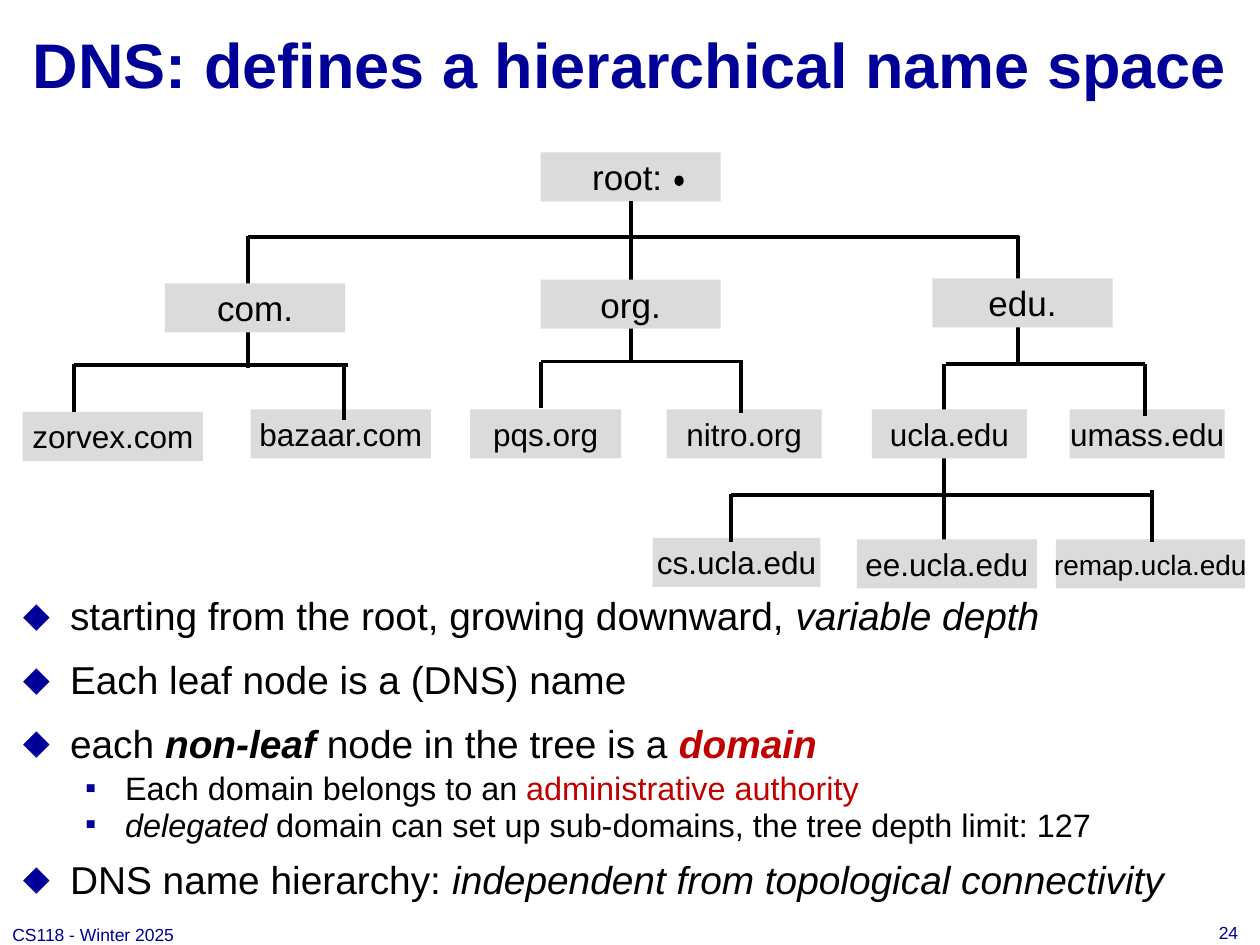
import pptx
import pptx.util
import pptx.dml.color
import pptx.enum.shapes
import pptx.enum.text
import pptx.oxml
import pptx.oxml.ns
import lxml.etree

Pt = pptx.util.Pt
ALIGN = pptx.enum.text.PP_ALIGN
SHAPE = pptx.enum.shapes.MSO_SHAPE
COLORS = {"navy": "000099", "black": "000000", "red": "C00000", "node": "DBDBDB"}
BOX = {"word_wrap": True, "auto_size": pptx.enum.text.MSO_AUTO_SIZE.NONE,
       "vertical_anchor": pptx.enum.text.MSO_ANCHOR.MIDDLE}


def rgb(name):
    return pptx.dml.color.RGBColor.from_string(COLORS[name])


def add_run(paragraph, text, size, color="black", **styles):
    run = paragraph.add_run()
    run.text = text
    run.font.color.rgb = rgb(color)
    for key, value in {"name": "Arial", "size": Pt(size), **styles}.items():
        setattr(run.font, key, value)


presentation = pptx.Presentation()
presentation.slide_width, presentation.slide_height = Pt(720), Pt(540)
slide = presentation.slides.add_slide(presentation.slide_layouts[1])
title, body = slide.placeholders[0], slide.placeholders[1]

# Title
title.left, title.top, title.width, title.height = Pt(0), Pt(0), Pt(720), Pt(72)
for key, value in BOX.items():
    setattr(title.text_frame, key, value)
title.text_frame.paragraphs[0].alignment = ALIGN.CENTER
add_run(title.text_frame.paragraphs[0], "DNS: defines a hierarchical name space",
        36, "navy", bold=True)

# Bullet list: level and runs of (text, styles)
bullets = [
    (0, [("starting from the root, growing downward, ", {}),
         ("variable depth", {"italic": True})]),
    (0, [("Each leaf node is a (DNS) name", {})]),
    (0, [("each ", {}), ("non-leaf", {"bold": True, "italic": True}),
         (" node in the tree is a ", {}),
         ("domain", {"color": "red", "bold": True, "italic": True})]),
    (1, [("Each domain belongs to an ", {}),
         ("administrative authority", {"color": "red"})]),
    (1, [("delegated", {"italic": True}),
         (" domain can set up sub-domains, the tree depth limit: 127", {})]),
    (0, [("DNS name hierarchy: ", {}),
         ("independent from topological connectivity", {"italic": True})]),
]
levels = [
    {"size": 22.2, "before": 12, "after": 3, "left": 27, "hang": 27, "mark": "⬥", "scale": 100},
    {"size": 18.5, "before": 3, "after": 0, "left": 58.5, "hang": 22.5, "mark": "■", "scale": 50},
]
body.left, body.top, body.width, body.height = Pt(13), Pt(343.5), Pt(702), Pt(181.5)
body_format = {"margin_left": 0, "margin_top": 0, "margin_right": 0, "margin_bottom": 0,
               **BOX, "vertical_anchor": pptx.enum.text.MSO_ANCHOR.TOP}
for key, value in body_format.items():
    setattr(body.text_frame, key, value)
for index, (level, runs) in enumerate(bullets):
    paragraph = body.text_frame.add_paragraph() if index else body.text_frame.paragraphs[0]
    style = levels[level]
    paragraph_format = {"level": level, "line_spacing": 0.8,
                        "space_before": Pt(style["before"]), "space_after": Pt(style["after"])}
    for key, value in paragraph_format.items():
        setattr(paragraph, key, value)
    properties = paragraph._p.get_or_add_pPr()
    properties.set("marL", str(Pt(style["left"])))
    properties.set("indent", str(-Pt(style["hang"])))
    bullet_color = lxml.etree.SubElement(properties, pptx.oxml.ns.qn("a:buClr"))
    lxml.etree.SubElement(bullet_color, pptx.oxml.ns.qn("a:srgbClr"), val=COLORS["navy"])
    lxml.etree.SubElement(properties, pptx.oxml.ns.qn("a:buSzPct"), val=str(style["scale"] * 1000))
    lxml.etree.SubElement(properties, pptx.oxml.ns.qn("a:buChar"), char=style["mark"])
    for text, styles in runs:
        add_run(paragraph, text, style["size"], **styles)

# Name tree, back to front: lines (x1, y1, x2, y2) and nodes (text, left, top, width, size)
tree = [
    (539.3, 208, 539.3, 310.3),
    (141.8, 134.6, 141.8, 210.2),
    (581.8, 134.6, 581.8, 208),
    ("root:", 308.9, 87.1, 103, 20),
    ("zorvex.com", 13, 235.4, 103, 18),
    ("edu.", 532.8, 159.1, 103, 20),
    ("com.", 94.3, 162, 103, 20),
    (141.8, 135.4, 582.5, 135.4),
    ("bazaar.com", 143.3, 234, 103, 18),
    ("pqs.org", 268.6, 234, 86.4, 18),
    ("nitro.org", 380.9, 234, 88.6, 18),
    ("ucla.edu", 498.2, 234, 88.6, 18),
    ("umass.edu", 611.3, 234, 88.6, 18),
    ("cs.ucla.edu", 373, 307.4, 95.8, 18),
    ("ee.ucla.edu", 489.6, 308.2, 103, 18),
    ("remap.ucla.edu", 603.4, 308.2, 108, 16),
    (360.4, 115.1, 360.4, 206.6),
    (42.5, 208, 42.5, 235.4),
    (196.6, 209.5, 196.6, 239.8),
    (42.5, 208.8, 198.7, 208.8),
    (308.9, 206.6, 308.9, 233.3),
    (423.4, 205.9, 423.4, 236.2),
    (308.9, 206.6, 422.6, 206.6),
    (654.5, 208, 654.5, 237.6),
    (540.7, 208, 654.5, 208),
    (417.6, 282.2, 417.6, 309.6),
    (658.1, 280.1, 658.1, 309.6),
    (417.6, 283, 657.4, 283),
    ("org.", 308.9, 159.8, 103, 20),
]
nodes, lines = {}, {}
for item in tree:
    if isinstance(item[0], str):
        text, left, top, width, size = item
        node = slide.shapes.add_shape(SHAPE.RECTANGLE, Pt(left), Pt(top), Pt(width), Pt(28))
        node.shadow.inherit = False
        node.fill.solid()
        node.fill.fore_color.rgb = rgb("node")
        node.line.fill.background()
        for key, value in {**BOX, "word_wrap": size == 20}.items():
            setattr(node.text_frame, key, value)
        node.text_frame.paragraphs[0].alignment = ALIGN.CENTER
        add_run(node.text_frame.paragraphs[0], text, size)
        nodes[text] = node
    else:
        line = slide.shapes.add_connector(pptx.enum.shapes.MSO_CONNECTOR.STRAIGHT,
                                          *[Pt(value) for value in item])
        line.line.color.rgb = rgb("black")
        line.line.width = Pt(2.25)
        lxml.etree.SubElement(line._element.spPr, pptx.oxml.ns.qn("a:effectLst"))
        lines[item] = line
lines[360.4, 115.1, 360.4, 206.6].begin_connect(nodes["root:"], 2)

# Root dot, with its label set to the left of it
nodes["root:"].text_frame.paragraphs[0].alignment = ALIGN.LEFT
nodes["root:"].text_frame.margin_left = Pt(29.5)
dot = slide.shapes.add_shape(SHAPE.OVAL, Pt(385.9), Pt(100.8), Pt(4.3), Pt(5))
dot.shadow.inherit = False
dot.fill.solid()
dot.fill.fore_color.rgb = dot.line.color.rgb = rgb("black")
dot.line.width = Pt(1)

# Footer and page number
for text, left, top, width, height, alignment in [
    ("CS118 - Winter 2025", 0, 527.8, 80.6, 12.2, ALIGN.LEFT),
    ("24", 684, 525.6, 36, 14.4, ALIGN.CENTER),
]:
    footer = slide.shapes.add_textbox(Pt(left), Pt(top), Pt(width), Pt(height))
    for key, value in {**BOX, "word_wrap": False}.items():
        setattr(footer.text_frame, key, value)
    footer.text_frame.paragraphs[0].alignment = alignment
    add_run(footer.text_frame.paragraphs[0], text, 10, "navy")

presentation.save("out.pptx")
